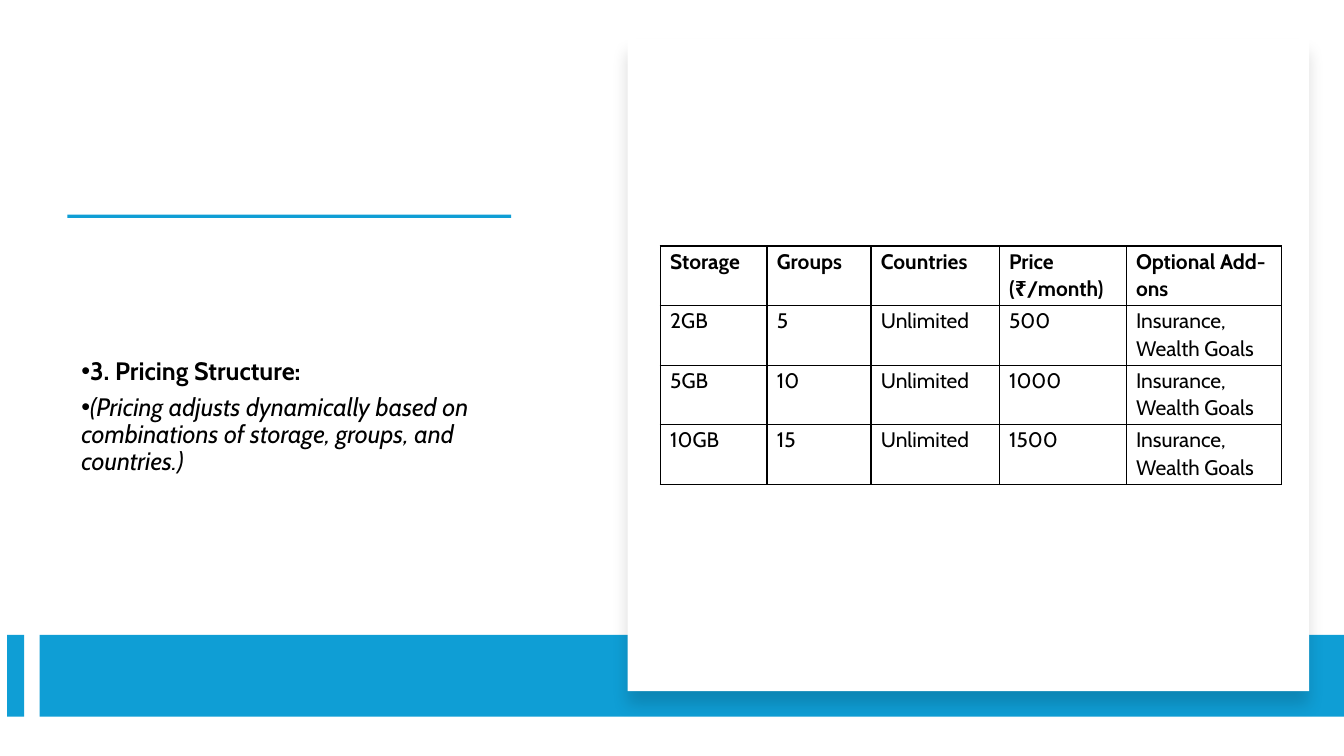
from lxml.etree import SubElement
from pptx import Presentation
from pptx.dml.color import RGBColor as RGB
from pptx.enum.shapes import MSO_SHAPE as SHAPE
from pptx.enum.text import MSO_ANCHOR as ANCHOR
from pptx.oxml import parse_xml
from pptx.oxml.ns import qn, nsdecls
from pptx.util import Cm, Pt

COLORS = {"accent": "0F9ED5", "card": "FFFFFF", "text": "000000"}


def add_bar(left, top, width, height, color):
    sp = s.shapes.add_shape(SHAPE.RECTANGLE, Cm(left), Cm(top), Cm(width), Cm(height))
    sp.shadow.inherit = False
    sp.fill.solid()
    sp.fill.fore_color.rgb = RGB.from_string(COLORS[color])
    sp.line.fill.background()
    return sp


def write(p, text, spacing, after, **font):
    p.line_spacing, p.space_after = spacing, Pt(after)
    r = p.add_run()
    r.text = text
    r.font.color.rgb = RGB.from_string(COLORS["text"])
    for name, value in {"name": "Cabin", **font}.items():
        setattr(r.font, name, value)


prs = Presentation()
prs.slide_width, prs.slide_height = Cm(33.87), Cm(19.05)
s = prs.slides.add_slide(prs.slide_layouts[6])

# Title rule
add_bar(1.7, 5.41, 11.18, 0.08, "accent")

# Bulleted text
tf = s.shapes.add_textbox(Cm(1.8), Cm(5.64), Cm(11.89), Cm(9.75)).text_frame
tf.word_wrap, tf.vertical_anchor = True, ANCHOR.MIDDLE
points = [
    ("3. Pricing Structure:", {"bold": True}),
    ("(Pricing adjusts dynamically based on combinations of storage, groups, "
     "and countries.)", {"italic": True}),
]
for i, (text, style) in enumerate(points):
    p = tf.add_paragraph() if i else tf.paragraphs[0]
    write(p, text, 0.9, 6, size=Pt(18), **style)
    pPr = p._p.get_or_add_pPr()
    pPr.set("marL", "0")
    pPr.set("indent", str(-Cm(0.64)))
    SubElement(pPr, qn("a:buFont")).set("typeface", "Arial")
    SubElement(pPr, qn("a:buChar")).set("char", "•")

# Bottom band
for left, width in [(0.18, 0.43), (1, 32.87)]:
    add_bar(left, 16, width, 2.06, "accent")

# Card with a soft shadow
card = add_bar(15.82, 0.99, 17.17, 16.43, "card")
shadow = SubElement(card._element.spPr.find(qn("a:effectLst")), qn("a:outerShdw"))
for name, value in {"blurRad": Pt(11), "dist": Pt(10), "dir": 90 * 60000,
                    "algn": "t", "rotWithShape": 0}.items():
    shadow.set(name, str(value))
shade = SubElement(shadow, qn("a:srgbClr"), val=COLORS["text"])
SubElement(shade, qn("a:alpha"), val="15000")

# Pricing table
rows = [["Storage", "Groups", "Countries", "Price (₹/month)", "Optional Add-ons"]]
for storage, groups, price in [("2GB", "5", "500"), ("5GB", "10", "1000"),
                               ("10GB", "15", "1500")]:
    rows.append([storage, groups, "Unlimited", price, "Insurance, Wealth Goals"])
widths = [2.69, 2.62, 3.23, 3.2, 3.91]
table = s.shapes.add_table(len(rows), len(widths), Cm(16.64), Cm(6.2),
                           Cm(sum(widths)), Cm(1.5 * len(rows))).table
table.first_row = table.horz_banding = False
for column, width in zip(table.columns, widths):
    column.width = Cm(width)
for i, row in enumerate(rows):
    table.rows[i].height = Cm(1.5)
    for j, text in enumerate(row):
        cell = table.cell(i, j)
        cell.margin_left = cell.margin_right = Cm(0.25)
        cell.margin_top, cell.margin_bottom = Cm(0.03), 0
        write(cell.text_frame.paragraphs[0], text, 1.07, 8, size=Pt(15), bold=i == 0)
        tcPr = cell._tc.get_or_add_tcPr()
        for side in ("lnL", "lnR", "lnT", "lnB"):
            tcPr.append(parse_xml(
                f'<a:{side} {nsdecls("a")} w="{Pt(1)}"><a:solidFill>'
                f'<a:srgbClr val="{COLORS["text"]}"/></a:solidFill></a:{side}>'))
        cell.fill.background()

prs.save("out.pptx")
